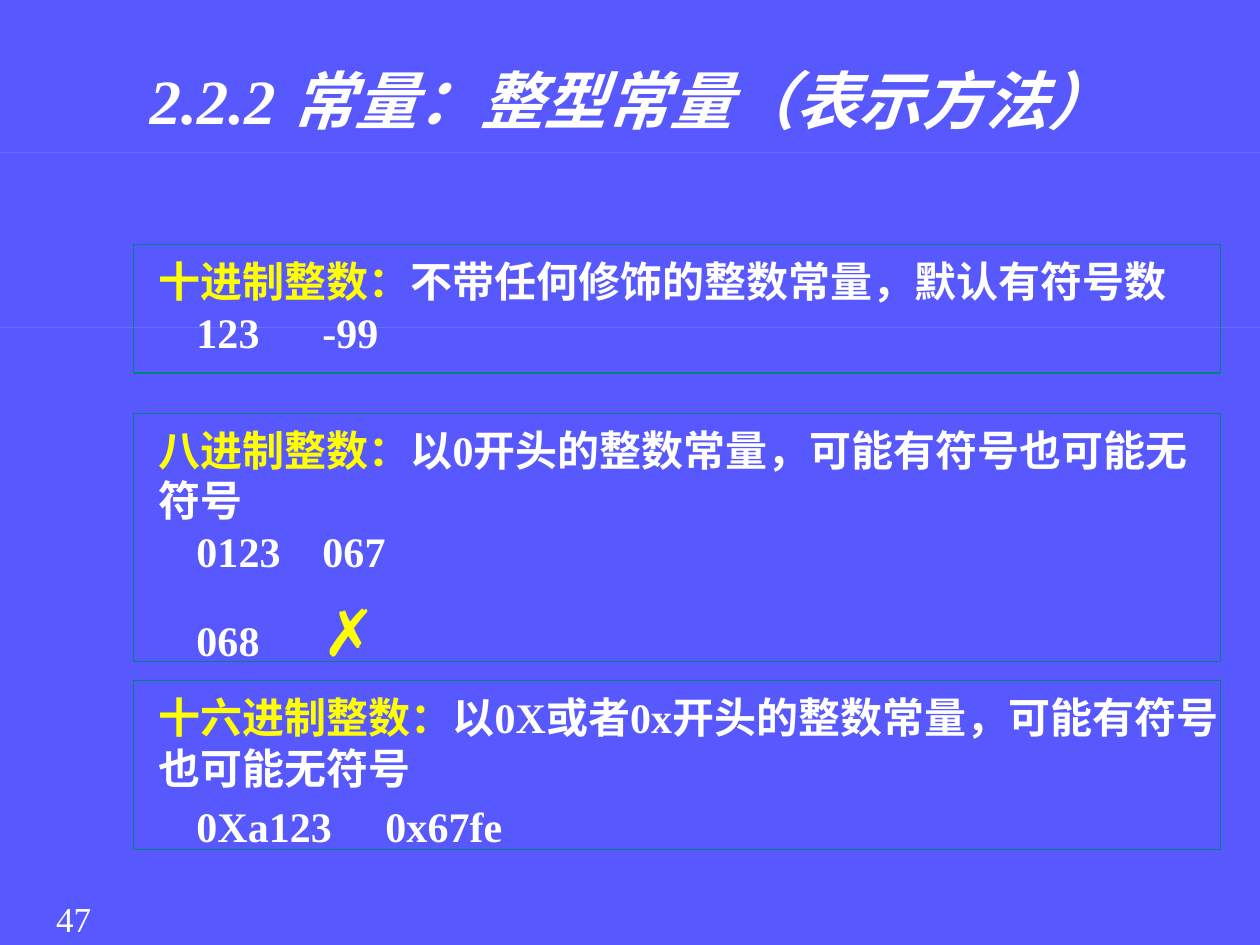
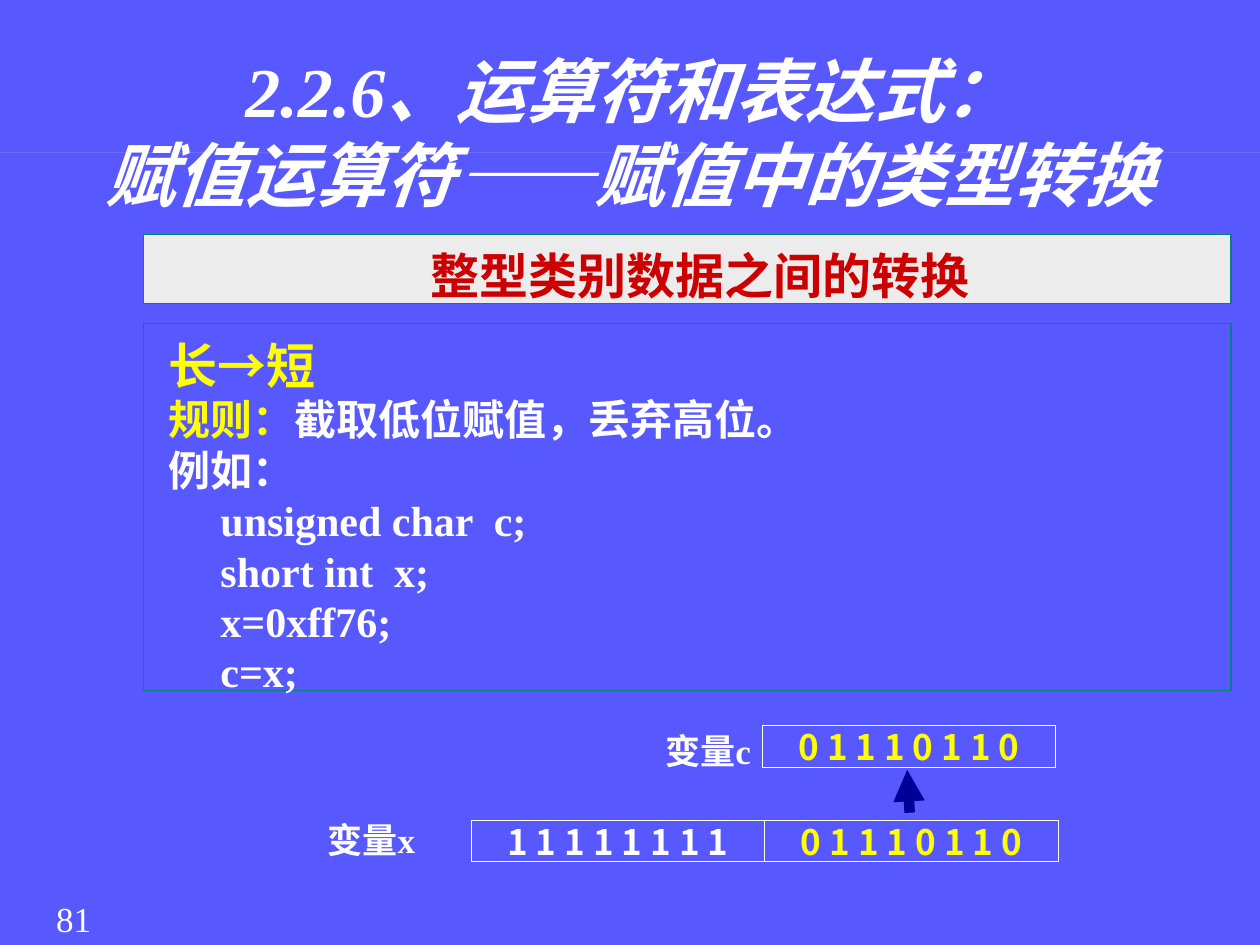
from lxml.etree import SubElement
from pptx import Presentation
from pptx.dml.color import RGBColor
from pptx.enum.shapes import MSO_CONNECTOR, MSO_SHAPE
from pptx.enum.text import MSO_ANCHOR, MSO_AUTO_SIZE, PP_ALIGN
from pptx.oxml.ns import qn
from pptx.util import Inches, Pt

BLUE = RGBColor(0x58, 0x58, 0xFF)
WHITE = RGBColor(0xFF, 0xFF, 0xFF)
YELLOW = RGBColor(0xFF, 0xFF, 0x00)
RED = RGBColor(0xCC, 0x00, 0x00)
TEAL = RGBColor(0x00, 0x80, 0x80)
NAVY = RGBColor(0x00, 0x00, 0x99)
GREY = RGBColor(0xEC, 0xEC, 0xEC)
RULE = RGBColor(0xF0, 0xF0, 0xF0)
TIMES = "Times New Roman"
SANS = "Noto Sans CJK SC"
SANS_JP = "Noto Sans CJK JP"


def write(tf, text, size=24, color=WHITE, font=TIMES, east=SANS, bold=True, italic=False,
          align=PP_ALIGN.LEFT, left=0.2, before=0, tabs=(), join=False):
    p = tf.paragraphs[-1]
    if not join:
        if p.runs:
            p = tf.add_paragraph()
        p.alignment = align
        p.space_before = Pt(before)
        p.line_spacing = Pt(round(size * 1.2, 1))
        pPr = p._p.get_or_add_pPr()
        pPr.set("marL", str(Inches(left)))
        pPr.set("indent", "0")
        if tabs:
            tab_list = SubElement(pPr, qn("a:tabLst"))
            for tab in tabs:
                SubElement(tab_list, qn("a:tab"), pos=str(Inches(tab)), algn="l")
    r = p.add_run()
    r.text = text
    r.font.size = Pt(size)
    r.font.bold = bold
    r.font.italic = italic
    r.font.color.rgb = color
    r.font.name = font
    SubElement(r._r.get_or_add_rPr(), qn("a:ea"), typeface=east)


def add_box(s, left, top, width, height, fill=None, line=None, inset=(0, 0.09, 0, 0.05),
            anchor=MSO_ANCHOR.TOP, wrap=True):
    sp = s.shapes.add_shape(MSO_SHAPE.RECTANGLE, Inches(left), Inches(top), Inches(width), Inches(height))
    sp.shadow.inherit = False
    if fill is None:
        sp.fill.background()
    else:
        sp.fill.solid()
        sp.fill.fore_color.rgb = fill
    if line is None:
        sp.line.fill.background()
    else:
        sp.line.color.rgb = line
        sp.line.width = Pt(0.75)
    tf = sp.text_frame
    tf.margin_left, tf.margin_top, tf.margin_right, tf.margin_bottom = map(Inches, inset)
    tf.vertical_anchor = anchor
    tf.word_wrap = wrap
    return tf


prs = Presentation()
prs.slide_width = Inches(10)
prs.slide_height = Inches(7.5)

pages = [
    ("47", ["2.2.2 常量：整型常量（表示方法）"], 36, 0.4, [1.21, 2.6]),
    ("81", ["2.2.6、运算符和表达式：", "赋值运算符——赋值中的类型转换"], 40, 0.29, [1.21]),
]
for number, title_lines, title_size, title_top, rules in pages:
    s = prs.slides.add_slide(prs.slide_layouts[5])
    s.background.fill.solid()
    s.background.fill.fore_color.rgb = BLUE
    for top in rules:
        add_box(s, 0, top, 10, 0, fill=RULE)

    title = s.shapes.title
    title.left, title.top, title.width, title.height = map(Inches, (0.69, title_top, 8.62, 1.45))
    tf = title.text_frame
    tf.auto_size = MSO_AUTO_SIZE.NONE
    tf.word_wrap = True
    tf.vertical_anchor = MSO_ANCHOR.TOP
    tf.margin_top = Inches(0.09)
    for text in title_lines:
        write(tf, text, size=title_size, italic=True, align=PP_ALIGN.CENTER, left=0)

    tf = s.shapes.add_textbox(Inches(0.17), Inches(7.07), Inches(0.83), Inches(0.43)).text_frame
    tf.word_wrap = True
    write(tf, number, size=20, bold=False, align=PP_ALIGN.CENTER, left=0)

constants, conversion = prs.slides

number_forms = [
    (1.94, 1.02, "十进制整数：", "不带任何修饰的整数常量，默认有符号数", "\t123\t-99", (1.04, 1.96), 0),
    (3.28, 1.97, "八进制整数：", "以0开头的整数常量，可能有符号也可能无符号", "\t0123\t067", (1.49, 2.57), 0),
    (5.4, 1.34, "十六进制整数：", "以0X或者0x开头的整数常量，可能有符号也可能无符号",
     "\t0Xa123\t0x67fe", (1.61, 3.11), 4.8),
]
for top, height, name, rule, examples, tabs, before in number_forms:
    tf = add_box(constants, 1.06, top, 8.63, height, line=TEAL)
    write(tf, name, color=YELLOW)
    write(tf, rule, join=True)
    write(tf, examples, left=0, tabs=tabs, before=before)
    if name == "八进制整数：":
        write(tf, "\t068\t", left=0, tabs=(1.53, 2.57), before=25)
        write(tf, "✗", size=37, color=YELLOW, font=SANS, join=True)

tf = add_box(conversion, 1.14, 1.86, 8.63, 0.55, fill=GREY, line=TEAL)
write(tf, "整型类别数据之间的转换", size=28, color=RED, align=PP_ALIGN.CENTER)

tf = add_box(conversion, 1.14, 2.57, 8.63, 2.91, line=TEAL)
write(tf, "长→短", size=28, color=YELLOW, font=SANS_JP, east=SANS_JP)
write(tf, "规则：", color=YELLOW, font=SANS)
write(tf, "截取低位赋值，丢弃高位。", font=SANS, join=True)
write(tf, "例如：")
for code in ["unsigned char  c;", "short int  x;", "x=0xff76;", "c=x;"]:
    write(tf, code, left=0.61)

low_byte, high_byte = "0 1 1 1 0 1 1 0", "1 1 1 1 1 1 1 1"
for left, top, bits, color in [(6.05, 5.76, low_byte, YELLOW), (6.07, 6.51, low_byte, YELLOW),
                               (3.74, 6.51, high_byte, WHITE)]:
    tf = add_box(conversion, left, top, 2.33, 0.33, line=WHITE, inset=(0.1, 0.05, 0.1, 0.05),
                 anchor=MSO_ANCHOR.MIDDLE, wrap=False)
    write(tf, bits, size=20, color=color, font=SANS, align=PP_ALIGN.CENTER, left=0)

arrow = conversion.shapes.add_connector(MSO_CONNECTOR.STRAIGHT, Inches(7.2), Inches(6.11), Inches(7.22), Inches(6.45))
arrow.line.color.rgb = NAVY
arrow.line.width = Pt(6)
SubElement(arrow.line._get_or_add_ln(), qn("a:headEnd"), type="triangle")
SubElement(arrow._element.spPr, qn("a:effectLst"))

for left, top, text in [(5.08, 5.72, "变量c"), (2.4, 6.43, "变量x")]:
    tf = conversion.shapes.add_textbox(Inches(left), Inches(top), Inches(1.26), Inches(0.43)).text_frame
    tf.word_wrap = True
    tf.margin_left = tf.margin_right = 0
    tf.margin_top = Inches(0.07)
    write(tf, text, size=20, align=PP_ALIGN.JUSTIFY)

prs.save("out.pptx")
